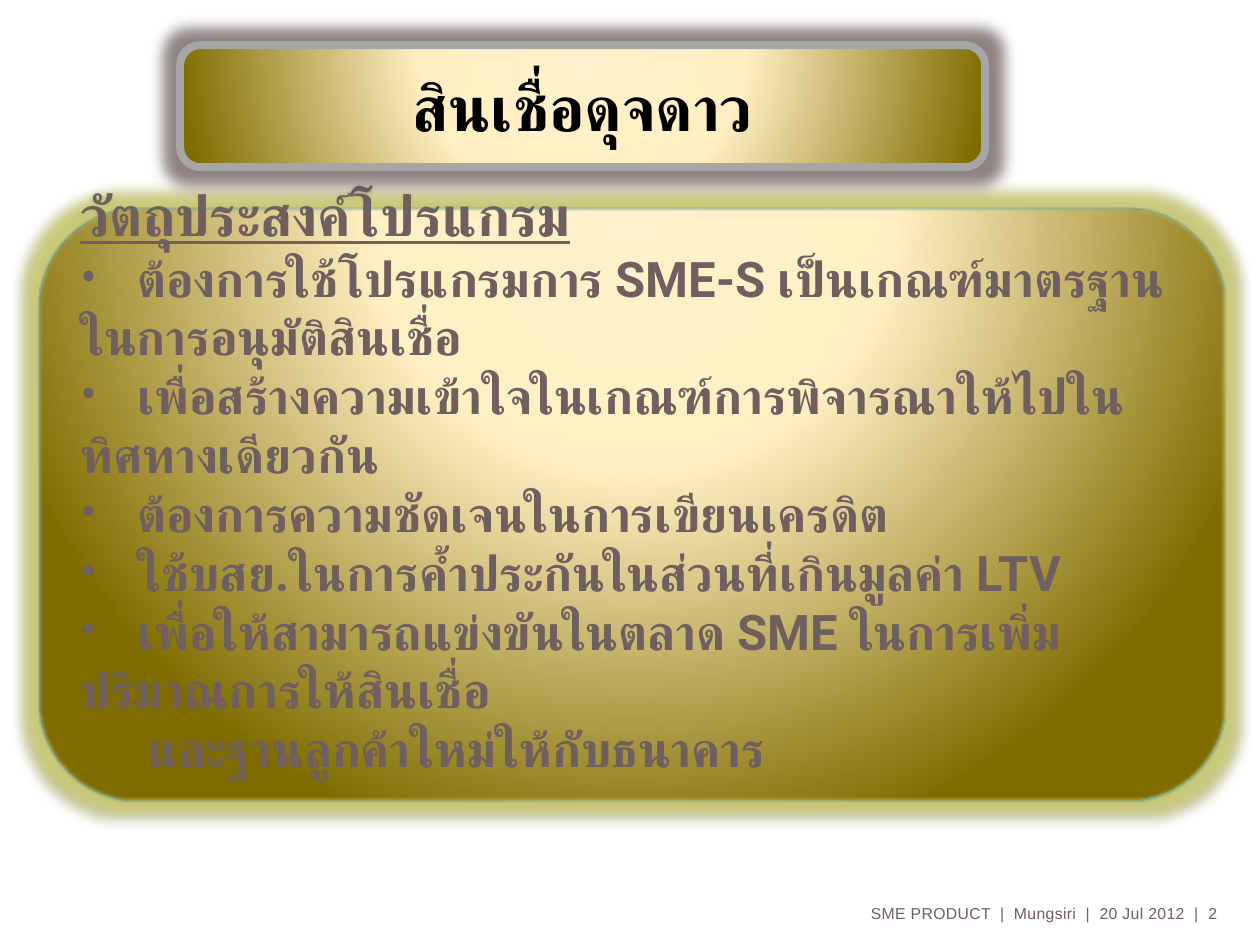
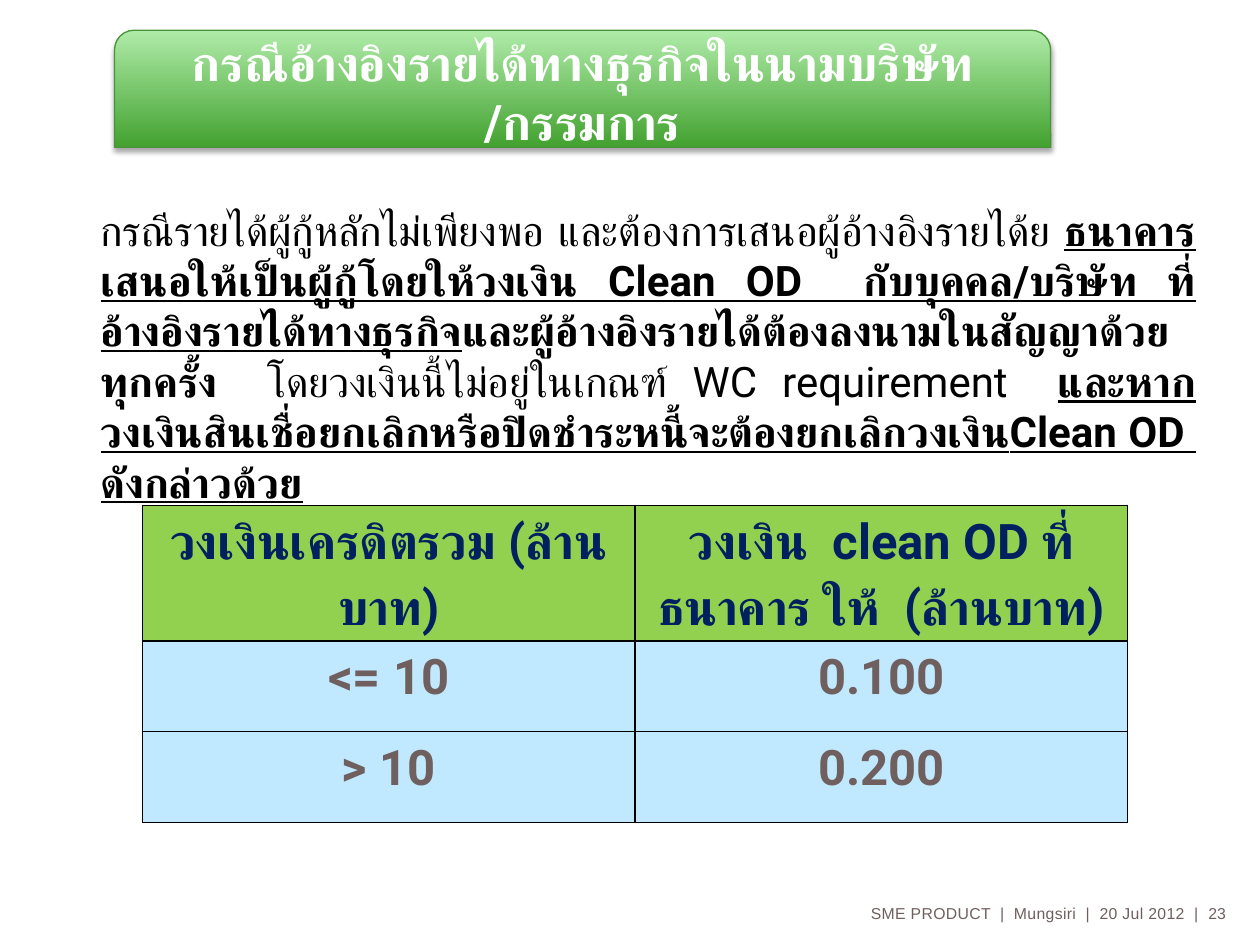
from lxml.etree import SubElement
from pptx import Presentation
from pptx.dml.color import RGBColor
from pptx.enum.shapes import MSO_SHAPE as Preset
from pptx.enum.text import MSO_ANCHOR as Anchor, MSO_AUTO_SIZE as AutoSize, PP_ALIGN as Align
from pptx.oxml import parse_xml
from pptx.oxml.ns import nsdecls, qn
from pptx.util import Cm, Pt

BLACK = RGBColor(0x00, 0x00, 0x00)
WHITE = RGBColor(0xFF, 0xFF, 0xFF)
BROWN = RGBColor(0x6F, 0x5F, 0x5E)
NAVY = RGBColor(0x00, 0x20, 0x60)
BLUE = RGBColor(0x00, 0x7A, 0xC1)
SKY = RGBColor(0xC0, 0xE8, 0xFF)
LIME = RGBColor(0x92, 0xD0, 0x50)
GREY = RGBColor(0xA6, 0xA6, 0xA6)
OLIVE_GLOW = RGBColor(0xD0, 0xD0, 0x60)
LEAF_EDGE = RGBColor(0x49, 0x94, 0x3A)
GOLD_STOPS = [(0, RGBColor(0xFF, 0xF1, 0xCC)), (40, RGBColor(0xFF, 0xEF, 0xC3)),
              (100, RGBColor(0x7F, 0x6C, 0x00))]
LEAF_STOPS = [(0, RGBColor(0x43, 0xA2, 0x30)), (100, RGBColor(0xAF, 0xEB, 0xA8))]
GOLD_PATH = ('<a:path path="circle"><a:fillToRect l="50000" t="-80000" '
             'r="50000" b="180000"/></a:path>')
UPWARD = '<a:lin ang="16200000" scaled="0"/>'
FONT = "Roboto"
FOOTER = "SME PRODUCT  |  Mungsiri  |  20 Jul 2012  |"


def write(frame, text, size=28, color=BROWN, font=FONT, bold=True, underline=False,
          align=Align.LEFT, line_spacing=None, tracking=None):
    """Add a paragraph; text is a string or a list of (text, bold, underline)."""
    para = frame.paragraphs[0] if not frame.text else frame.add_paragraph()
    para.alignment = align
    if line_spacing:
        para.line_spacing = line_spacing
    spans = [(text, bold, underline)] if isinstance(text, str) else text
    for words, is_bold, is_underlined in spans:
        span = para.add_run()
        span.text = words
        span.font.name = font
        span.font.size = Pt(size)
        span.font.bold = is_bold
        span.font.underline = is_underlined
        span.font.color.rgb = color
        properties = span._r.get_or_add_rPr()
        SubElement(properties, qn("a:cs"), typeface=font)
        if tracking:
            properties.set("spc", str(tracking))
    return para


def add_panel(page, preset, place, stops, direction, edge, edge_width, shadow,
              glow=None, soft=False):
    """Add a gradient panel; shadow is (opacity %, blur, distance, angle)."""
    panel = page.shapes.add_shape(preset, *map(Cm, place))
    panel.line.color.rgb = edge
    panel.line.width = Pt(edge_width)
    stop_xml = "".join(f'<a:gs pos="{at * 1000}"><a:srgbClr val="{color}"/></a:gs>'
                       for at, color in stops)
    panel._element.spPr.insert(2, parse_xml(
        f'<a:gradFill {nsdecls("a")} rotWithShape="1"><a:gsLst>{stop_xml}</a:gsLst>'
        f'{direction}</a:gradFill>'))
    opacity, blur, distance, angle = shadow
    effects = (f'<a:outerShdw blurRad="{Pt(blur)}" dist="{Pt(distance)}" '
               f'dir="{angle * 60000}" rotWithShape="0"><a:srgbClr val="{BLACK}">'
               f'<a:alpha val="{opacity * 1000}"/></a:srgbClr></a:outerShdw>')
    if glow:
        effects = (f'<a:glow rad="{Pt(15)}"><a:srgbClr val="{glow}">'
                   f'<a:alpha val="70000"/></a:srgbClr></a:glow>') + effects
    if soft:
        effects += f'<a:softEdge rad="{Pt(1)}"/>'
    panel._element.spPr.append(parse_xml(
        f'<a:effectLst {nsdecls("a")}>{effects}</a:effectLst>'))
    panel.text_frame.word_wrap = True
    panel.text_frame.vertical_anchor = Anchor.MIDDLE
    return panel.text_frame


deck = Presentation()
deck.slide_width, deck.slide_height = Cm(25.4), Cm(19.05)
pages = [deck.slides.add_slide(deck.slide_layouts[6]) for _ in range(2)]
purpose_page, income_page = pages

# Loan programme purpose
frame = add_panel(purpose_page, Preset.ROUNDED_RECTANGLE, (0.79, 4.19, 23.9, 11.96),
                  GOLD_STOPS, GOLD_PATH, BLUE, 0.75, (38, 3.1, 1.6, 90),
                  glow=OLIVE_GLOW, soft=True)
frame.margin_bottom = Cm(1.14)
write(frame, "วัตถุประสงค์โปรแกรม", size=32, underline=True)
for purpose in [
    "ต้องการใช้โปรแกรมการ SME-S เป็นเกณฑ์มาตรฐานในการอนุมัติสินเชื่อ",
    "เพื่อสร้างความเข้าใจในเกณฑ์การพิจารณาให้ไปในทิศทางเดียวกัน",
    "ต้องการความชัดเจนในการเขียนเครดิต",
    "ใช้บสย.ในการค้ำประกันในส่วนที่เกินมูลค่า LTV",
    "เพื่อให้สามารถแข่งขันในตลาด SME ในการเพิ่มปริมาณการให้สินเชื่อ",
]:
    para = write(frame, "\t" + purpose)
    settings = para._p.get_or_add_pPr()
    settings.set("marL", "0")
    settings.set("indent", "0")
    SubElement(settings, qn("a:buFont"), typeface=FONT)
    SubElement(settings, qn("a:buChar"), char="•")
    tabs = SubElement(settings, qn("a:tabLst"))
    SubElement(tabs, qn("a:tab"), pos=str(Cm(1.15)), algn="l")
para = write(frame, "และฐานลูกค้าใหม่ให้กับธนาคาร")
para._p.get_or_add_pPr().set("marL", str(Cm(1.37)))

frame = add_panel(purpose_page, Preset.ROUNDED_RECTANGLE, (3.63, 0.91, 16.23, 2.46),
                  GOLD_STOPS, GOLD_PATH, GREY, 4.5, (20, 6, 0, 225), glow=BROWN)
write(frame, "สินเชื่อดุจดาว", size=36, color=BLACK, align=Align.CENTER)

# Income reference case
box = income_page.shapes.add_textbox(Cm(1.78), Cm(3.99), Cm(22.58), Cm(5.38))
box.text_frame.word_wrap = True
box.text_frame.auto_size = AutoSize.SHAPE_TO_FIT_TEXT
write(box.text_frame, [
    ("กรณีรายได้ผู้กู้หลักไม่เพียงพอ และต้องการเสนอผู้อ้างอิงรายได้ย ", False, False),
    ("ธนาคารเสนอให้เป็นผู้กู้โดยให้วงเงิน Clean OD  กับบุคคล/บริษัท "
     "ที่อ้างอิงรายได้ทางธุรกิจ", True, True),
    ("และผู้อ้างอิงรายได้ต้องลงนามในสัญญาด้วยทุกครั้ง", True, False),
    ("  โดยวงเงินนี้ไม่อยู่ในเกณฑ์ WC requirement  ", False, False),
    ("และหากวงเงินสินเชื่อยกเลิกหรือปิดชำระหนี้จะต้องยกเลิกวงเงินClean OD  "
     "ดังกล่าวด้วย", True, True),
], size=24, color=BLACK, align=Align.JUSTIFY)

credit_rows = [
    ("วงเงินเครดิตรวม (ล้านบาท)", "วงเงิน  clean OD ที่ธนาคาร ให้  (ล้านบาท)"),
    ("<= 10", "0.100"),
    ("> 10", "0.200"),
]
table = income_page.shapes.add_table(3, 2, Cm(2.87), Cm(10.19), Cm(19.86), Cm(5.49)).table
for row_index, texts in enumerate(credit_rows):
    is_header = row_index == 0
    for column_index, text in enumerate(texts):
        cell = table.cell(row_index, column_index)
        cell.margin_left = cell.margin_right = Cm(0.18)
        cell.margin_top = cell.margin_bottom = 0
        write(cell.text_frame, text, color=NAVY if is_header else BROWN,
              align=Align.CENTER, line_spacing=1.15)
        borders = cell._tc.get_or_add_tcPr()
        for side in ("lnL", "lnR", "lnT", "lnB"):
            border = SubElement(borders, qn(f"a:{side}"), w=str(Pt(1)))
            paint = SubElement(border, qn("a:solidFill"))
            SubElement(paint, qn("a:srgbClr"), val=str(BLACK))
        cell.fill.solid()
        cell.fill.fore_color.rgb = LIME if is_header else SKY

frame = add_panel(income_page, Preset.ROUND_2_SAME_RECTANGLE, (2.31, 0.61, 18.87, 2.36),
                  LEAF_STOPS, UPWARD, LEAF_EDGE, 0.75, (35, 3.1, 1.8, 90))
write(frame, "กรณีอ้างอิงรายได้ทางธุรกิจในนามบริษัท /กรรมการ", color=WHITE,
      align=Align.CENTER)

# Footers
for page, number in zip(pages, ("2", "23")):
    for text, left, width, align, tracking in [
        (FOOTER, 11.46, 12.7, Align.RIGHT, 20),
        (number, 24.36, 0.91, Align.LEFT, None),
    ]:
        box = page.shapes.add_textbox(Cm(left), Cm(18.03), Cm(width), Cm(0.74))
        frame = box.text_frame
        frame.word_wrap = True
        frame.vertical_anchor = Anchor.MIDDLE
        frame.margin_left = frame.margin_right = frame.margin_top = frame.margin_bottom = 0
        write(frame, text, size=9, font="Arial", bold=False, align=align, tracking=tracking)

deck.save("out.pptx")
